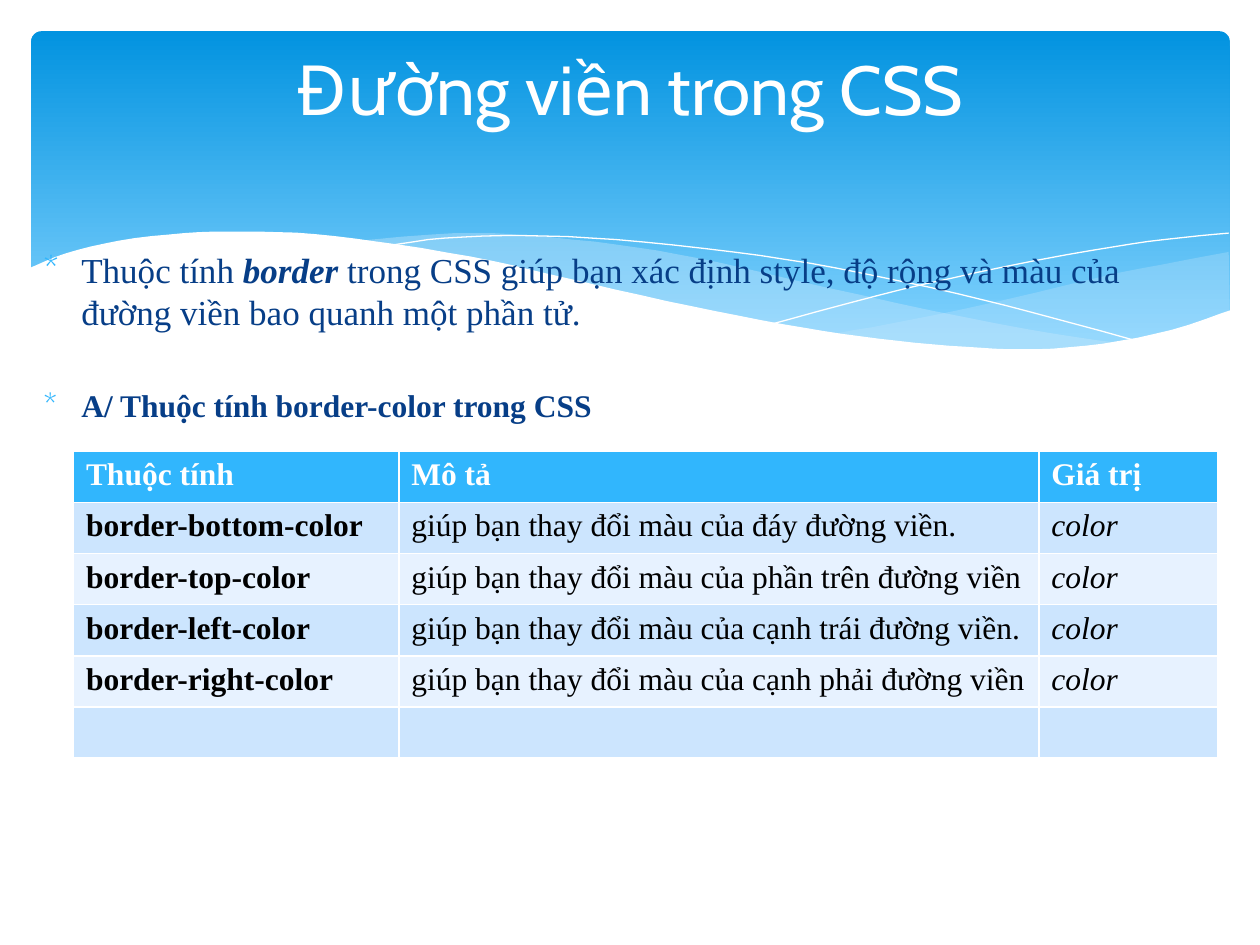
from lxml.etree import SubElement
from pptx import Presentation
from pptx.dml.color import RGBColor
from pptx.enum.shapes import MSO_SHAPE
from pptx.enum.text import MSO_ANCHOR as Anchor, PP_ALIGN as Align
from pptx.oxml.ns import qn
from pptx.util import Cm, Pt

WHITE = RGBColor(0xFF, 0xFF, 0xFF)
BLACK = RGBColor(0x00, 0x00, 0x00)
NAVY = RGBColor(0x07, 0x3E, 0x87)
SKY = RGBColor(0x31, 0xB6, 0xFD)
BANNER_TOP = RGBColor(0x02, 0x93, 0xE0)
BANNER_END = RGBColor(0x81, 0xD2, 0xFE)
VEIL = RGBColor(0xC6, 0xE7, 0xFC)
BANDS = RGBColor(0xCC, 0xE5, 0xFE), RGBColor(0xE7, 0xF2, 0xFF)

WAVE = [(0.58, 5.41), (1.32, 5.11), (2.41, 4.85), (3.71, 4.7), (4.9, 4.67), (6.35, 4.72),
        (8.03, 4.93), (9.93, 5.26), (11.35, 5.59), (13.44, 6.07), (15.32, 6.45),
        (16.97, 6.73), (18.44, 6.91), (19.76, 7.01), (20.9, 7.04), (22.23, 6.93),
        (23.62, 6.65), (24.82, 6.25)]
WAVE_BASE = [(24.82, 8.36), (0.58, 8.36)]
RIGHT_TOP = [(24.77, 5.08), (23.01, 5.41), (21.87, 5.66), (19.79, 6.15), (17.93, 6.53),
             (16.79, 6.73)]
RIGHT_BOTTOM = [(16.79, 6.73), (17.91, 6.88), (19.23, 7.01), (20.4, 7.06), (21.69, 7.01),
                (22.78, 6.86), (23.75, 6.65), (24.79, 6.27)]
MIDDLE_TOP = [(22.68, 6.93), (21.26, 6.73), (18.82, 6.27), (15.98, 5.64), (14.1, 5.21),
              (12.42, 4.93), (10.67, 4.75), (9.17, 4.7), (7.26, 4.85)]
MIDDLE_BOTTOM = [(7.26, 4.85), (8.69, 5.05), (10.26, 5.36), (11.4, 5.64), (13.46, 6.1),
                 (15.27, 6.48), (17.27, 6.81), (19, 7.01), (20.5, 7.06), (21.77, 7.04),
                 (22.68, 6.93)]
FALLING_LINE = [(7.85, 4.95), (8.97, 4.8), (10.57, 4.75), (12.42, 4.83), (14.78, 5.08),
                (16.89, 5.41), (19.3, 5.92), (21.11, 6.38), (23.04, 6.91)]
RISING_LINE = [(15.57, 6.53), (17.65, 5.97), (19.71, 5.49), (22, 5.05), (23.47, 4.83),
               (24.77, 4.7)]

INTRO = [("Thuộc tính ", {}), ("border", {"bold": True, "italic": True}),
         (" trong CSS giúp bạn xác định style, độ rộng và màu của "
          "đường viền bao quanh một phần tử.", {})]
SECTION = [("A/ Thuộc tính border-color trong CSS", {"size": 18, "bold": True})]
HEADINGS = ["Thuộc tính", "Mô tả", "Giá trị"]
PROPERTIES = [("border-bottom-color", "giúp bạn thay đổi màu của đáy đường viền."),
              ("border-top-color", "giúp bạn thay đổi màu của phần trên đường viền"),
              ("border-left-color", "giúp bạn thay đổi màu của cạnh trái đường viền."),
              ("border-right-color", "giúp bạn thay đổi màu của cạnh phải đường viền")]


def smooth(points, steps=4):
    """Return points along a Catmull-Rom curve through the given points."""
    ends = [points[0], *points, points[-1]]
    curve = []
    for a, b, c, d in zip(ends, ends[1:], ends[2:], ends[3:]):
        for t in (step / steps for step in range(steps)):
            curve.append(tuple(
                q + t * (r - p) / 2 + t ** 2 * (2 * p - 5 * q + 4 * r - s) / 2
                + t ** 3 * (3 * q - p - 3 * r + s) / 2
                for p, q, r, s in zip(a, b, c, d)))
    return curve + [points[-1]]


def write(para, text, font="Times New Roman", size=18, color=BLACK, bold=False, italic=False):
    """Add a formatted span of text to a paragraph."""
    span = para.add_run()
    span.text = text
    style = span.font
    style.name, style.size, style.bold, style.italic = font, Pt(size), bold, italic
    style.color.rgb = color


class SlideBuilder:
    """Hold the style and the current slide, and draw each kind of element."""

    title_font = "Cabin"

    def __init__(self, deck):
        self.page = deck.slides.add_slide(deck.slide_layouts[5])

    def banner(self, left, top, width, height):
        shape = self.page.shapes.add_shape(
            MSO_SHAPE.ROUNDED_RECTANGLE, Cm(left), Cm(top), Cm(width), Cm(height))
        shape.adjustments[0] = 0.03
        shape.shadow.inherit = False
        shape.line.fill.background()
        shape.fill.gradient()
        shape.fill.gradient_angle = 270
        for stop, color, position in zip(
                shape.fill.gradient_stops, (BANNER_TOP, BANNER_END), (0, 0.9)):
            stop.color.rgb, stop.position = color, position

    def outline(self, points, closed):
        grid = [(round(x * 100), round(y * 100)) for x, y in points]
        builder = self.page.shapes.build_freeform(*grid[0], scale=Cm(0.01))
        builder.add_line_segments(grid[1:], close=closed)
        shape = builder.convert_to_shape()
        shape.shadow.inherit = False
        return shape

    def area(self, points, color, opacity=100):
        shape = self.outline(points, True)
        shape.line.fill.background()
        shape.fill.solid()
        shape.fill.fore_color.rgb = color
        if opacity < 100:
            tint = next(shape.element.iter(qn("a:srgbClr")))
            SubElement(tint, qn("a:alpha"), val=str(opacity * 1000))

    def curve(self, points):
        shape = self.outline(smooth(points), False)
        shape.fill.background()
        shape.line.color.rgb = WHITE
        shape.line.width = Pt(0.75)

    def title(self, text, left, top, width, height):
        box = self.page.shapes.title
        box.left, box.top, box.width, box.height = Cm(left), Cm(top), Cm(width), Cm(height)
        box.element.getparent().append(box.element)
        frame = box.text_frame
        frame.vertical_anchor = Anchor.TOP
        frame.margin_top = 0
        para = frame.paragraphs[0]
        para.alignment = Align.CENTER
        write(para, text, font=self.title_font, size=39.6, color=WHITE)

    def bullets(self, items, left, top, width, height, gap):
        box = self.page.shapes.add_textbox(Cm(left), Cm(top), Cm(width), Cm(height))
        frame = box.text_frame
        frame.word_wrap = True
        for index, spans in enumerate(items):
            para = frame.add_paragraph() if index else frame.paragraphs[0]
            if index:
                para.space_before = Pt(gap)
            for text, style in spans:
                write(para, text, **{"size": 20, "color": NAVY, **style})
            self.mark(para)

    def mark(self, para):
        props = para._p.get_or_add_pPr()
        props.set("marL", str(Cm(0.76)))
        props.set("indent", str(-Cm(0.76)))
        tint = SubElement(props, qn("a:buClr"))
        SubElement(tint, qn("a:srgbClr"), val=str(SKY))
        SubElement(props, qn("a:buFont"), typeface=self.title_font)
        SubElement(props, qn("a:buChar"), char="*")

    def table(self, rows, left, top, widths, row_height):
        frame = self.page.shapes.add_table(
            len(rows), len(widths), Cm(left), Cm(top), Cm(sum(widths)),
            Cm(row_height * len(rows)))
        grid = frame.table
        for column, width in zip(grid.columns, widths):
            column.width = Cm(width)
        for r, row in enumerate(rows):
            for c, text in enumerate(row):
                cell = grid.cell(r, c)
                cell.fill.solid()
                cell.fill.fore_color.rgb = BANDS[(r - 1) % 2] if r else SKY
                if text:
                    write(cell.text_frame.paragraphs[0], text, color=BLACK if r else WHITE,
                          bold=r == 0 or c == 0, italic=r > 0 and c == 2)


def main():
    """Build the slide about CSS borders."""
    deck = Presentation()
    deck.slide_width, deck.slide_height = Cm(25.4), Cm(19.05)
    slide = SlideBuilder(deck)
    slide.banner(0.63, 0.63, 24.16, 6.86)
    slide.area(smooth(RIGHT_TOP) + smooth(RIGHT_BOTTOM), VEIL, 29)
    slide.area(smooth(MIDDLE_TOP) + smooth(MIDDLE_BOTTOM), VEIL, 40)
    slide.curve(FALLING_LINE)
    slide.curve(RISING_LINE)
    slide.area(smooth(WAVE) + WAVE_BASE, WHITE)
    slide.bullets([INTRO, SECTION], 0.63, 4.88, 24.13, 12.14, gap=30.6)
    slide.title("Đường viền trong CSS", 1.27, 0.94, 22.86, 3.48)
    rows = [HEADINGS, *((*entry, "color") for entry in PROPERTIES), ("", "", "")]
    slide.table(rows, 1.48, 9.1, [6.56, 12.9, 3.61], 1.03)
    deck.save("out.pptx")


if __name__ == "__main__":
    main()
